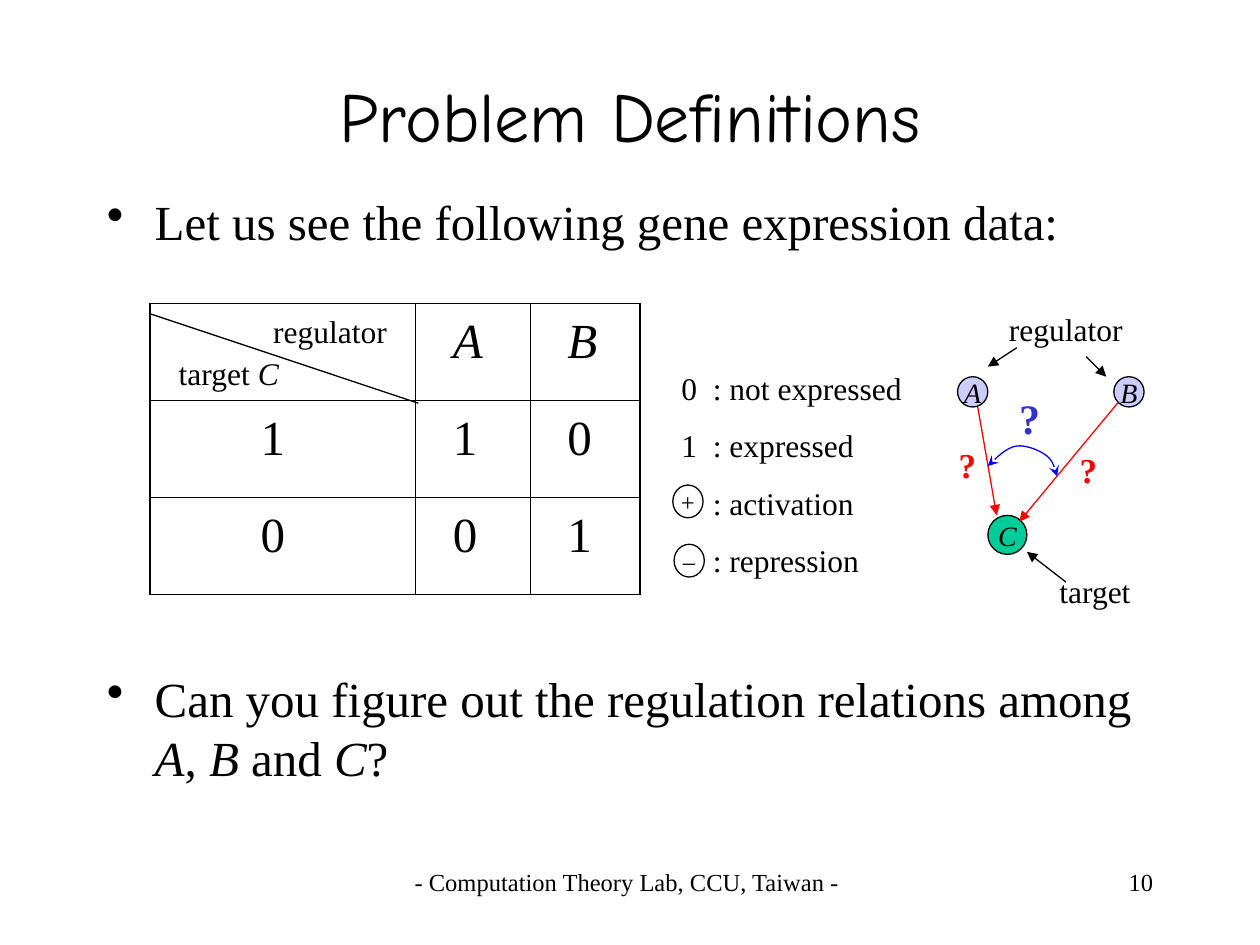
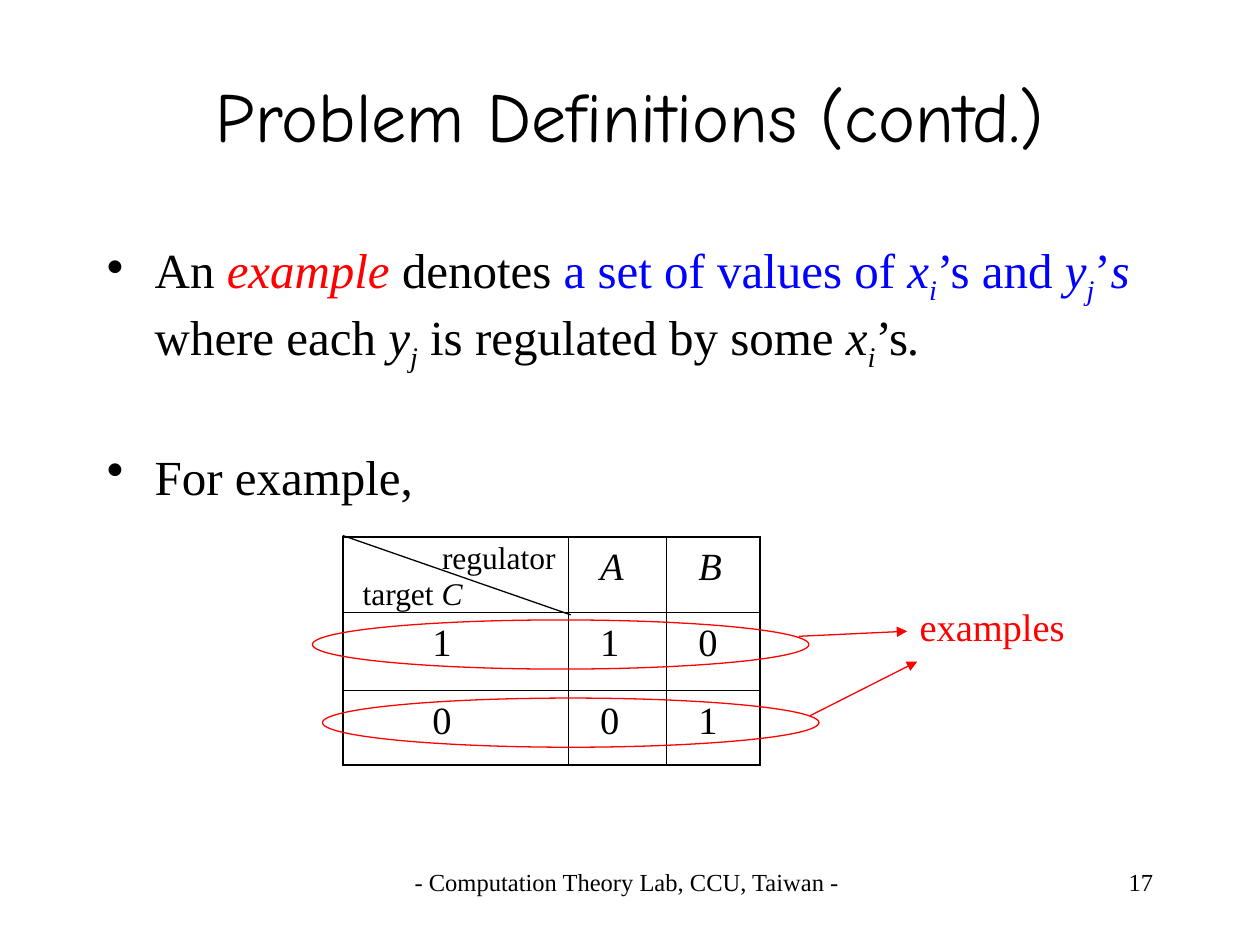
"""Build two slides that define a gene regulation problem with expression tables."""
from lxml import etree
from pptx import Presentation
from pptx.dml.color import RGBColor
from pptx.enum.shapes import MSO_CONNECTOR, MSO_SHAPE
from pptx.enum.text import MSO_ANCHOR, MSO_AUTO_SIZE, PP_ALIGN
from pptx.oxml import parse_xml
from pptx.oxml.ns import nsdecls, qn
from pptx.util import Inches, Pt

LEFT, CENTER, RIGHT = PP_ALIGN.LEFT, PP_ALIGN.CENTER, PP_ALIGN.RIGHT
MIDDLE = MSO_ANCHOR.MIDDLE
OVAL = MSO_SHAPE.OVAL
STRAIGHT = MSO_CONNECTOR.STRAIGHT
NO_FIT = MSO_AUTO_SIZE.NONE

BLACK = RGBColor(0x00, 0x00, 0x00)
RED = RGBColor(0xFF, 0x00, 0x00)
BLUE = RGBColor(0x00, 0x00, 0xFF)
INDIGO = RGBColor(0x33, 0x33, 0xCC)
LAVENDER = RGBColor(0xCC, 0xCC, 0xFF)
GREEN = RGBColor(0x00, 0xCC, 0x99)

TITLE_FONT, BODY_FONT = "Comic Neue", "Times New Roman"
LINE_WIDTH = Pt(0.75)
LINE_RATIO = 1.2


def write_text(shape, paras, size, color=BLACK, align=LEFT, before=0):
    """Fill a shape with paragraphs of (text, style, colour) runs; styles are i, b and _."""
    tf = shape.text_frame
    tf.word_wrap = True
    for i, runs in enumerate(paras):
        p = tf.paragraphs[0] if i == 0 else tf.add_paragraph()
        p.alignment = align
        p.line_spacing = Pt(round(size * LINE_RATIO, 1))
        if i:
            p.space_before = Pt(before)
        for text, style, *tint in runs:
            r = p.add_run()
            r.text = text
            r.font.name, r.font.size = BODY_FONT, Pt(size)
            r.font.italic, r.font.bold = "i" in style, "b" in style
            r.font.color.rgb = tint[0] if tint else color
            if "_" in style:
                r._r.get_or_add_rPr().set("baseline", "-25000")
    return tf


def style_line(shape, color, head=None, tail=None):
    """Give a shape or connector its outline, without a shadow, and its arrowheads."""
    shape.line.color.rgb = color
    shape.line.width = LINE_WIDTH
    spPr = shape._element.spPr
    for tag, kind in (("a:headEnd", head), ("a:tailEnd", tail)):
        if kind:
            etree.SubElement(spPr.find(qn("a:ln")), qn(tag)).set("type", kind)
    if spPr.find(qn("a:effectLst")) is None:
        etree.SubElement(spPr, qn("a:effectLst"))


prs = Presentation()
prs.slide_width, prs.slide_height = Inches(10), Inches(7.5)

slides = []
for title, number in (("Problem Definitions", "10"), ("Problem Definitions (contd.)", "17")):
    s = prs.slides.add_slide(prs.slide_layouts[5])
    slides.append(s)
    ph = s.shapes.title
    ph.left, ph.top, ph.width, ph.height = map(Inches, (0.75, 0.28, 8.5, 1.25))
    tf = ph.text_frame
    tf.auto_size, tf.vertical_anchor, tf.word_wrap = NO_FIT, MIDDLE, True
    p = tf.paragraphs[0]
    p.alignment = CENTER
    r = p.add_run()
    r.text = title
    r.font.name, r.font.size, r.font.color.rgb = TITLE_FONT, Pt(40), BLACK
    for box, text, align in (((2.06, 6.83, 5.83, 0.5), "- Computation Theory Lab, CCU, Taiwan -", CENTER),
                             ((7.17, 6.83, 2.08, 0.5), number, RIGHT)):
        write_text(s.shapes.add_textbox(*map(Inches, box)), [[(text, "")]], 14, align=align)
first, second = slides

question = [
    [("Let us see the following gene expression data:", "")],
    [("Can you figure out the regulation relations among ", ""), ("A", "i"), (", ", ""),
     ("B", "i"), (" and ", ""), ("C", "i"), ("?", "")],
]
definition = [
    [("An ", ""), ("example ", "i", RED), ("denotes ", ""), ("a set of values of ", "", BLUE),
     ("x", "i", BLUE), ("i", "i_", BLUE), ("’s and ", "", BLUE), ("y", "i", BLUE),
     ("j", "i_", BLUE), ("’", "", BLUE), ("s ", "i", BLUE), ("where each ", ""), ("y", "i"),
     ("j", "i_"), (" is regulated by some ", ""), ("x", "i"), ("i", "i_"), ("’s", ""), (".", "i")],
    [("For example,", "")],
]
for s, top, paras, pitch, gap in ((first, 1.47, question, 33.6, 239),
                                  (second, 1.85, definition, 38.3, 42)):
    body = s.shapes.add_textbox(Inches(0.75), Inches(top), Inches(8.5), Inches(6.67 - top))
    tf = write_text(body, paras, 28, before=gap)
    tf.paragraphs[0].line_spacing = Pt(pitch)
    for p in tf.paragraphs:
        pPr = p._p.get_or_add_pPr()
        pPr.set("marL", str(Inches(0.38)))
        pPr.set("indent", str(-Inches(0.38)))
        etree.SubElement(pPr, qn("a:buChar")).set("char", "•")

values = [["", "A", "B"], ["1", "1", "0"], ["0", "0", "1"]]
for s, box, widths, heights, size in (
        (first, (1.19, 2.41, 3.89, 2.3), (2.11, 0.91, 0.87), (0.77, 0.77, 0.77), 28),
        (second, (2.72, 4.26, 3.31, 1.81), (1.79, 0.78, 0.74), (0.6, 0.62, 0.59), 22)):
    table = s.shapes.add_table(3, 3, *map(Inches, box)).table
    table.first_row = table.horz_banding = False
    for i in range(3):
        table.columns[i].width = Inches(widths[i])
        table.rows[i].height = Inches(heights[i])
    for i, row in enumerate(values):
        for j, value in enumerate(row):
            cell = table.cell(i, j)
            cell.fill.background()
            cell.margin_left = Inches(0.1) + Pt(size * (1 if j else 4) / 2)
            if value:
                write_text(cell, [[(value, "i" if i == 0 else "")]], size)
            edges = (("L", j == 0), ("R", j == 2), ("T", i == 0), ("B", i == 2))
            for k, (side, outer) in enumerate(edges):
                width = Pt(1.08 if outer else 0.45)
                cell._tc.get_or_add_tcPr().insert(k, parse_xml(
                    f'<a:ln{side} {nsdecls("a")} w="{width}"><a:solidFill>'
                    f'<a:srgbClr val="{BLACK}"/></a:solidFill></a:ln{side}>'))

for s, box, fill, color, label, size in (
        (first, (7.6, 2.99, 0.24, 0.24), LAVENDER, BLACK, "A", 16),
        (first, (8.84, 2.99, 0.24, 0.24), LAVENDER, BLACK, "B", 16),
        (first, (7.84, 4.09, 0.31, 0.31), GREEN, BLACK, "C", 16),
        (first, (5.34, 3.85, 0.24, 0.26), None, BLACK, "+", 14),
        (first, (5.35, 4.32, 0.24, 0.26), None, BLACK, "–", 14),
        (second, (2.48, 4.92, 3.94, 0.39), None, RED, "", 0),
        (second, (2.56, 5.54, 3.94, 0.39), None, RED, "", 0)):
    oval = s.shapes.add_shape(OVAL, *map(Inches, box))
    if fill:
        oval.fill.solid()
        oval.fill.fore_color.rgb = fill
    else:
        oval.fill.background()
    style_line(oval, color)
    if label:
        tf = write_text(oval, [[(label, "i" if fill else "")]], size, align=CENTER)
        tf.word_wrap, tf.vertical_anchor = False, MIDDLE

for s, ends, color, tail in (
        (first, (1.19, 2.49, 3.32, 3.2), BLACK, None),
        (first, (8.07, 2.76, 7.84, 2.91), BLACK, "triangle"),
        (first, (8.62, 2.83, 8.78, 2.99), BLACK, "triangle"),
        (first, (8.46, 4.62, 8.15, 4.38), BLACK, "triangle"),
        (first, (7.76, 3.23, 7.91, 4.09), RED, "triangle"),
        (first, (8.87, 3.2, 8.09, 4.14), RED, "triangle"),
        (second, (2.72, 4.25, 4.53, 4.88), BLACK, None),
        (second, (6.34, 5.05, 7.2, 5.01), RED, "triangle"),
        (second, (6.43, 5.68, 7.28, 5.25), RED, "triangle")):
    style_line(s.shapes.add_connector(STRAIGHT, *map(Inches, ends)), color, tail=tail)

arc = [(7.84, 3.7), (7.91, 3.63), (7.99, 3.55), (8.07, 3.54), (8.15, 3.53),
       (8.26, 3.58), (8.31, 3.62), (8.36, 3.66), (8.37, 3.72), (8.39, 3.78)]
STEPS = 8
points = []
for start in range(0, len(arc) - 1, 3):
    for step in range(1, STEPS + 1):
        t = step / STEPS
        weights = ((1 - t) ** 3, 3 * t * (1 - t) ** 2, 3 * t * t * (1 - t), t ** 3)
        points.append([Inches(sum(w * pt[axis] for w, pt in zip(weights, arc[start:start + 4])))
                       for axis in (0, 1)])
builder = first.shapes.build_freeform(*map(Inches, arc[0]))
builder.add_line_segments(points, close=False)
curve = builder.convert_to_shape()
curve.fill.background()
style_line(curve, BLUE, "stealth", "stealth")

target = [("target ", ""), ("C", "i")]
for s, box, runs, size, color in (
        (first, (2.07, 2.43, 1.51, 0.4), [("regulator", "")], 18, BLACK),
        (first, (1.32, 2.76, 1.15, 0.4), target, 18, BLACK),
        (first, (7.91, 2.41, 1.34, 0.4), [("regulator", "")], 18, BLACK),
        (first, (8.31, 4.49, 0.79, 0.4), [("target", "")], 18, BLACK),
        (first, (7.99, 3.07, 0.47, 0.5), [("?", "b")], 24, INDIGO),
        (first, (8.47, 3.51, 0.47, 0.44), [("?", "b")], 20, RED),
        (first, (7.51, 3.47, 0.47, 0.44), [("?", "b")], 20, RED),
        (second, (3.41, 4.22, 1.25, 0.4), [("regulator", "")], 18, BLACK),
        (second, (2.78, 4.51, 1.05, 0.4), target, 18, BLACK),
        (second, (7.2, 4.74, 1.5, 0.47), [("examples", "")], 22, RED)):
    write_text(s.shapes.add_textbox(*map(Inches, box)), [runs], size, color)

legend = ("0\t: not expressed", "1\t: expressed", "\t: activation", "\t: repression")
key = first.shapes.add_textbox(*map(Inches, (5.31, 2.88, 2.13, 1.77)))
for p in write_text(key, [[(line, "")] for line in legend], 18, before=11.2).paragraphs:
    tabs = etree.SubElement(p._p.get_or_add_pPr(), qn("a:tabLst"))
    etree.SubElement(tabs, qn("a:tab"), pos=str(Inches(0.25)), algn="l")

prs.save("out.pptx")
